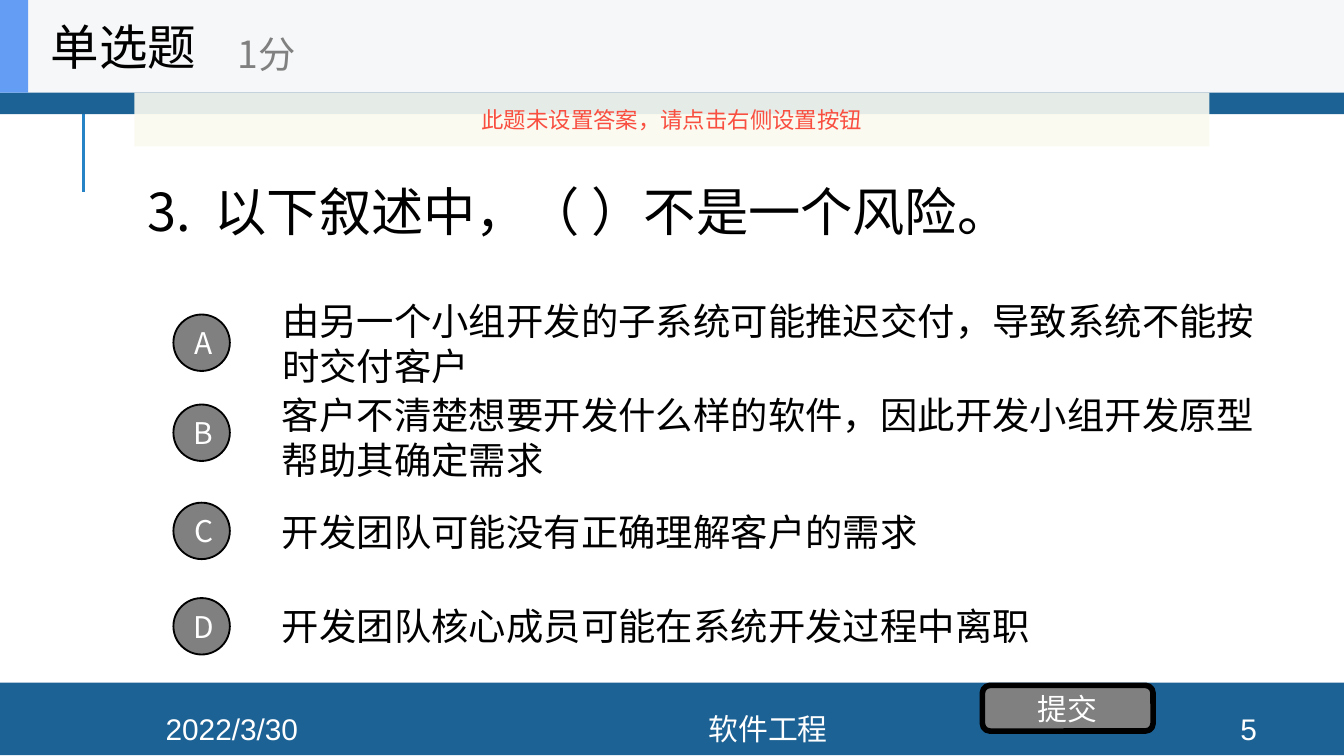
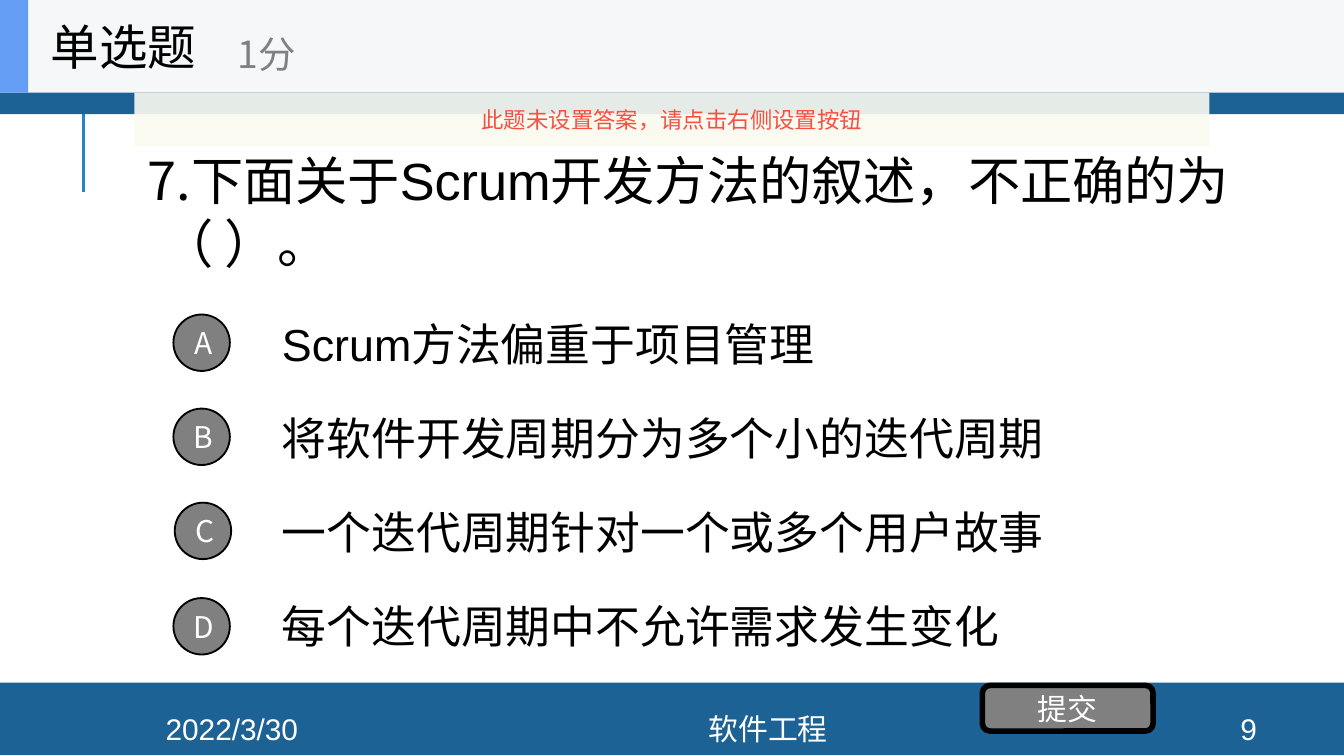
from lxml import etree
from pptx import Presentation
from pptx.dml.color import RGBColor
from pptx.enum import shapes, text
from pptx.oxml import ns
from pptx.util import Inches, Pt

COLORS = {
    "band": "1D6294", "line": "2683C6", "header": "F6F7F8", "accent": "639EF4",
    "gray": "808080", "black": "000000", "white": "FFFFFF",
    "notice": "FBFAEF", "warning": "F84F41",
}
LATIN, CJK = "Arial", "Noto Sans CJK SC"
SHAPE = shapes.MSO_SHAPE
LEFT, CENTER = text.PP_ALIGN.LEFT, text.PP_ALIGN.CENTER


def add_shape(s, kind, box, fill, line=None, width=1):
    sp = s.shapes.add_shape(kind, *map(Inches, box))
    sp.shadow.inherit = False
    sp.fill.solid()
    sp.fill.fore_color.rgb = RGBColor.from_string(COLORS[fill])
    if line:
        sp.line.color.rgb = RGBColor.from_string(COLORS[line])
        sp.line.width = Pt(width)
    else:
        sp.line.fill.background()
    return sp


def write(target, words, size, color, font=LATIN, align=LEFT, box=None):
    sp = target.shapes.add_textbox(*map(Inches, box)) if box else target
    tf = sp.text_frame
    tf.word_wrap = True
    tf.vertical_anchor = text.MSO_ANCHOR.MIDDLE
    tf.margin_top = tf.margin_bottom = 0
    p = tf.paragraphs[0]
    p.text = words
    p.alignment = align
    p.font.size = Pt(size)
    p.font.name = font
    p.font.color.rgb = RGBColor.from_string(COLORS[color])
    return p


SLIDES = [
    {
        "page": "5", "number": 3, "width": 8, "margin": 0.5, "indent": -0.5,
        "question": "以下叙述中，（ ）不是一个风险。",
        "size": 20, "before": 10, "circles": [(1.29, 2.34), (1.29, 3.01), (1.29, 3.74), (1.29, 4.45)],
        "options": [
            ("由另一个小组开发的子系统可能推迟交付，导致系统不能按时交付客户", 7.69),
            ("客户不清楚想要开发什么样的软件，因此开发小组开发原型帮助其确定需求", 7.56),
            ("开发团队可能没有正确理解客户的需求", 7),
            ("开发团队核心成员可能在系统开发过程中离职", 7),
        ],
    },
    {
        "page": "9", "number": 7, "width": 8.46, "margin": 0.1, "indent": -0.1,
        "question": "下面关于Scrum开发方法的叙述，不正确的为（ ）。",
        "size": 24, "before": 0, "circles": [(1.29, 2.34), (1.29, 3.04), (1.3, 3.74), (1.29, 4.45)],
        "options": [
            ("Scrum方法偏重于项目管理", 7),
            ("将软件开发周期分为多个小的迭代周期", 7),
            ("一个迭代周期针对一个或多个用户故事", 7),
            ("每个迭代周期中不允许需求发生变化", 7),
        ],
    },
]

prs = Presentation()
prs.slide_width = Inches(10)
prs.slide_height = Inches(10 * 9 / 16)

for quiz in SLIDES:
    s = prs.slides.add_slide(prs.slide_layouts[6])

    rule = s.shapes.add_connector(
        shapes.MSO_CONNECTOR.STRAIGHT, Inches(0.62), Inches(1.43), Inches(0.62), Inches(0.68))
    rule.line.color.rgb = RGBColor.from_string(COLORS["line"])
    rule.line.width = Pt(1.5)
    etree.SubElement(rule._element.spPr, ns.qn("a:effectLst"))
    add_shape(s, SHAPE.RECTANGLE, (0, 5.08, 10, 0.54), "band")
    add_shape(s, SHAPE.RECTANGLE, (0, -0.03, 10, 0.88), "band")

    for words, left, width in [("2022/3/30", 0.84, 1.77), ("软件工程", 2.61, 6.21), (quiz["page"], 8.89, 0.8)]:
        write(s, words, 16, "white", align=CENTER, box=(left, 5.31, width, 0.23))

    p = write(s, quiz["question"], 28, "black", box=(1, 0.69, quiz["width"], 1.76))
    pPr = p._p.get_or_add_pPr()
    pPr.set("marL", str(Inches(quiz["margin"])))
    pPr.set("indent", str(Inches(quiz["indent"])))
    bullet_font = etree.Element(ns.qn("a:buFont"), typeface=CJK)
    bullet = etree.Element(ns.qn("a:buAutoNum"), type="arabicPeriod", startAt=str(quiz["number"]))
    pPr.insert(0, bullet_font)
    pPr.insert(1, bullet)

    for i, (words, width) in enumerate(quiz["options"]):
        p = write(s, words, quiz["size"], "black", box=(2, 2.29 + 0.7 * i, width, 0.53))
        p.space_before = Pt(quiz["before"])

    for letter, (left, top) in zip("ABCD", quiz["circles"]):
        sp = add_shape(s, SHAPE.OVAL, (left, top, 0.42, 0.42), "gray", "black")
        sp.text_frame.margin_left = Inches(0.03)
        sp.text_frame.margin_right = 0
        write(sp, letter, 16, "white", CJK, CENTER)
    sp = add_shape(s, SHAPE.ROUNDED_RECTANGLE, (7.31, 5.1, 1.27, 0.34), "gray", "black", 3)
    write(sp, "提交", 16, "white", CJK, CENTER)

    add_shape(s, SHAPE.RECTANGLE, (0, 0, 10, 0.69), "header")
    add_shape(s, SHAPE.RECTANGLE, (0, 0, 0.21, 0.69), "accent")
    write(s, "单选题", 26, "black", CJK, box=(0.28, 0, 2.08, 0.69))
    write(s, "1分", 20, "gray", CJK, box=(1.67, 0.12, 2.5, 0.56))

    sp = add_shape(s, SHAPE.RECTANGLE, (1, 0.69, 8, 0.4), "notice")
    color = sp._element.spPr.find(ns.qn("a:solidFill"))[0]
    etree.SubElement(color, ns.qn("a:alpha"), val="90000")
    write(sp, "此题未设置答案，请点击右侧设置按钮", 12, "warning", CJK, CENTER)

prs.save("out.pptx")
